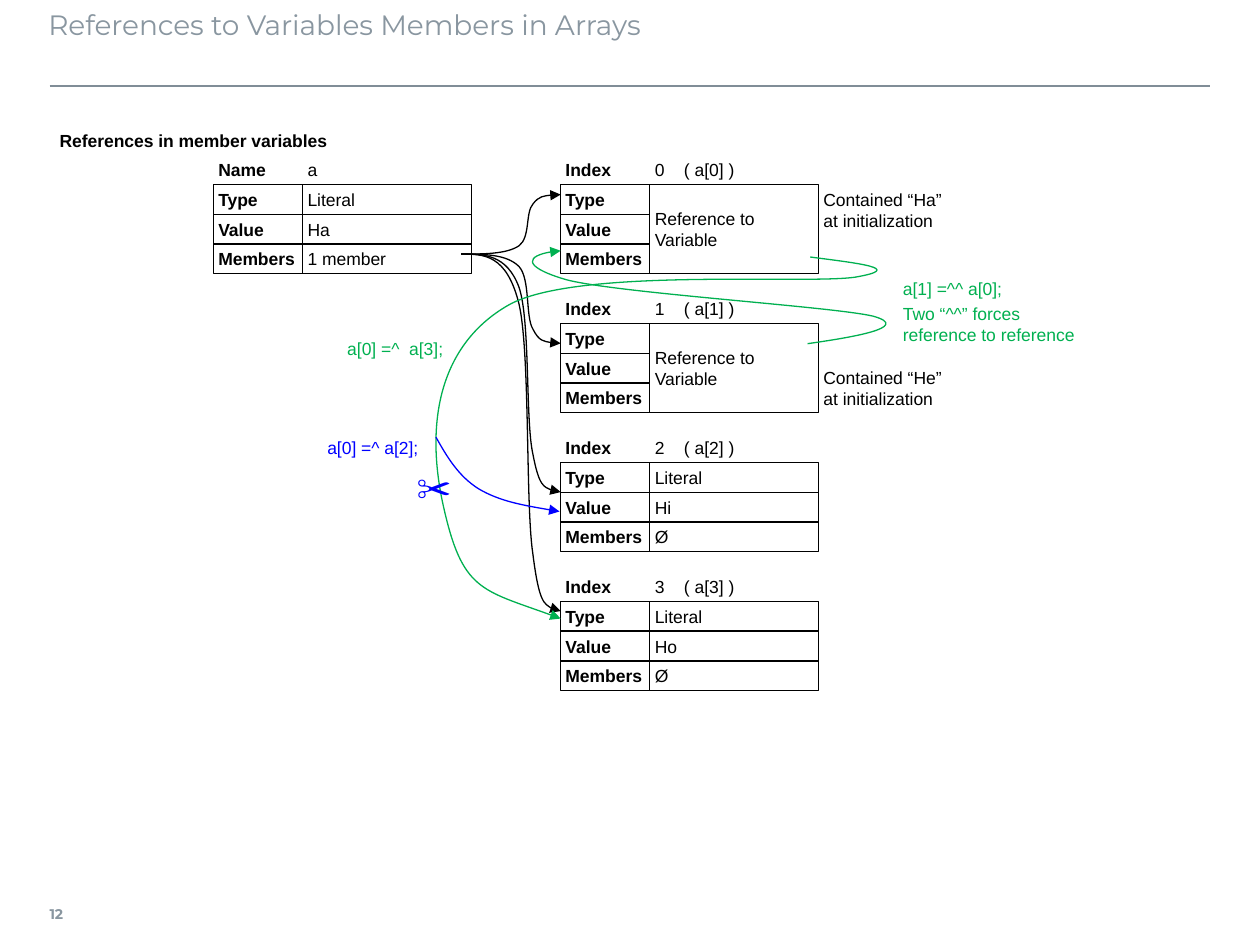
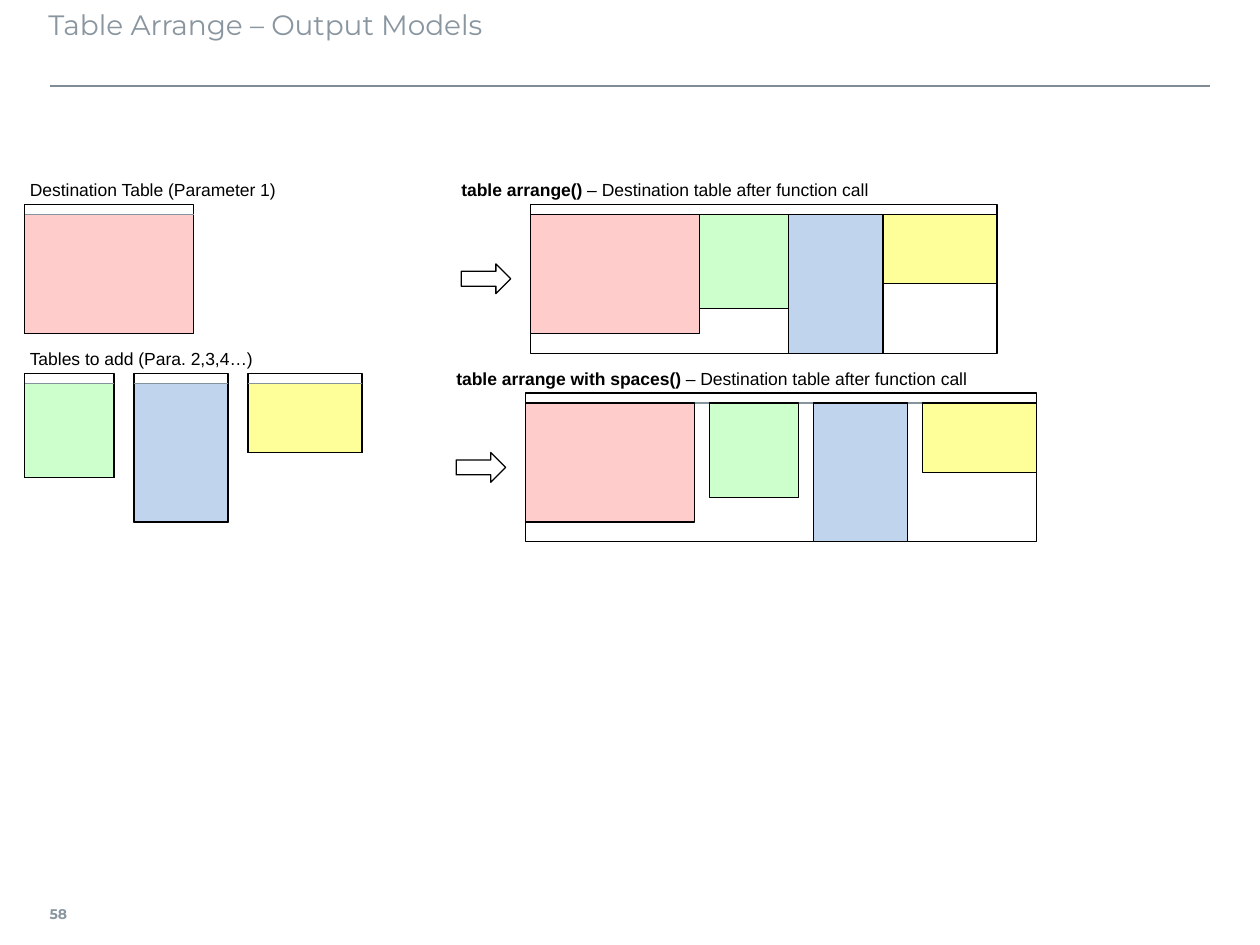
from lxml import etree
from pptx import Presentation
from pptx.dml.color import RGBColor
from pptx.enum import shapes, text
from pptx.oxml.ns import qn
from pptx.util import Pt

BLACK, GREEN, BLUE = "000000", "00B050", "0000FF"
TITLE_GREY, RULE_GREY, HEADER_GREY = "8996A0", "808D97", "85939D"
INSET = 2.83

# Memory records
ROW, KEY_W, VALUE_W = 17, 51, 96.4
INDEX_TAB = 16.7
RECORD_PITCH = 79.4

# Tables to arrange: width, body height, fill
HEADER_H = 5.67
DESTINATION = (96.4, 68, "FFCCCC")
ADDED = [(51, 53.9, "CCFFCC"), (53.9, 79.4, "C1D4EE"), (65.2, 39.7, "FFFF99")]


def color(hex_code):
    return RGBColor.from_string(hex_code)


def outline(sp, hex_code=BLACK, width=0.75):
    sp.line.color.rgb = color(hex_code)
    sp.line.width = Pt(width)


def write(sp, words, hex_code=BLACK, size=10, bold=False, font="Arial",
          insets=(INSET,) * 4, wrap=False, anchor=text.MSO_ANCHOR.MIDDLE, tab=None):
    """Fill a shape with left-aligned text, one paragraph for each line."""
    tf = sp.text_frame
    tf.word_wrap = wrap
    tf.vertical_anchor = anchor
    tf.margin_left, tf.margin_top, tf.margin_right, tf.margin_bottom = map(Pt, insets)
    tf.text = words
    for p in tf.paragraphs:
        p.alignment = text.PP_ALIGN.LEFT
        if tab:
            tabs = etree.SubElement(p._p.get_or_add_pPr(), qn("a:tabLst"))
            etree.SubElement(tabs, qn("a:tab"), pos=str(Pt(tab)), algn="l")
        p.font.name, p.font.size, p.font.bold = font, Pt(size), bold
        p.font.color.rgb = color(hex_code)
    return tf


def label(s, x, y, w, h, words, *style, **options):
    return write(s.shapes.add_textbox(Pt(x), Pt(y), Pt(w), Pt(h)), words, *style, **options)


def box(s, x, y, w, h, fill=None, kind=shapes.MSO_SHAPE.RECTANGLE):
    sp = s.shapes.add_shape(kind, Pt(x), Pt(y), Pt(w), Pt(h))
    sp.shadow.inherit = False
    if fill:
        sp.fill.solid()
        sp.fill.fore_color.rgb = color(fill)
    else:
        sp.fill.background()
    outline(sp)
    return sp


def rule(s, x, y, w, hex_code, width=0.75):
    line = s.shapes.add_connector(shapes.MSO_CONNECTOR.STRAIGHT, Pt(x), Pt(y), Pt(x + w), Pt(y))
    outline(line, hex_code, width)
    etree.SubElement(line._element.spPr, qn("a:effectLst"))


def curved_arrow(s, points, hex_code=BLACK):
    """Draw cubic curves: a start, then two controls and an end for each curve."""
    start, *rest = [(Pt(x), Pt(y)) for x, y in points]
    builder = s.shapes.build_freeform(*start)
    builder.add_line_segments(rest, close=False)
    sp = builder.convert_to_shape()
    sp.shadow.inherit = False
    sp.fill.background()
    outline(sp, hex_code)
    spPr = sp._element.spPr
    etree.SubElement(spPr.find(qn("a:ln")), qn("a:tailEnd"), type="triangle")
    track = spPr.find(".//" + qn("a:path"))
    segments = track.findall(qn("a:lnTo"))
    for i in range(0, len(segments), 3):
        curve = etree.SubElement(track, qn("a:cubicBezTo"))
        for segment in segments[i:i + 3]:
            curve.append(segment[0])
            track.remove(segment)


def new_slide(prs, title, number):
    s = prs.slides.add_slide(prs.slide_layouts[6])
    rule(s, 28.3, 48.96, 663.4, RULE_GREY, 1)
    label(s, 28.3, 508.3, 25.2, 28.1, number, TITLE_GREY, 8, True, "Montserrat",
          insets=(0, 3.6, 5.7, 3.6))
    label(s, 27.6, 0.7, 663, 45.4, title, TITLE_GREY, 16, font="Montserrat",
          insets=(0, 3.6, 7.2, 3.6), wrap=True, anchor=text.MSO_ANCHOR.TOP)
    return s


def record(s, x, y, key, name, values):
    """Draw a heading row and three fields; a single value spans all fields."""
    value_x = x + KEY_W
    label(s, x, y, KEY_W, ROW, key, bold=True)
    label(s, value_x, y, VALUE_W, ROW, name, tab=INDEX_TAB)
    fields = ("Type", "Value", "Members")
    for i, field in enumerate(fields, 1):
        write(box(s, x, y + i * ROW, KEY_W, ROW), field, bold=True)
    value_h = ROW * len(fields) / len(values)
    for i, value in enumerate(values):
        write(box(s, value_x, y + ROW + i * value_h, VALUE_W, value_h), value)


def member_arrow(s, x, y, drop):
    across = (0, 13, 26, 33.1, 39.6, 36.7, 41, 44.6, 51.1, 56.9)
    down = (0, 0, 0, 0.14, 0.28, 0.7, 0.84, 0.98, 1, 1)
    curved_arrow(s, [(x + dx, y + drop * share) for dx, share in zip(across, down)])


def references_slide(prs):
    s = new_slide(prs, "References to Variables Members in Arrays", "12")
    top, array_x = 88.5, 320.3
    label(s, 31.2, 71.6, 200, ROW, "References in member variables", bold=True)
    record(s, 121.9, top, "Name", "a", ["Literal", "Ha", "1 member"])
    reference = ["Reference to\nVariable"]
    elements = [reference, reference, ["Literal", "Hi", "Ø"], ["Literal", "Ho", "Ø"]]
    for i, values in enumerate(elements):
        record(s, array_x, top + i * RECORD_PITCH, "Index", f"{i}\t( a[{i}] )", values)
    for rows in (-2, 3, 8, 12):
        member_arrow(s, 263.5, 145.2, rows * ROW)

    curved_arrow(s, [
        (463, 146.9), (490.3, 150.5), (517.7, 153.4), (488.9, 158.4),
        (460.8, 162.7), (329.8, 152.6), (290.9, 174.2),
        (251.3, 196.6), (242.6, 241.2), (253.4, 289.4),
        (264.2, 337.7), (275.8, 337), (320.4, 353.5)], GREEN)
    curved_arrow(s, [
        (461.5, 196.4), (485.3, 193), (522, 187.2), (499, 180.7),
        (475.2, 175), (344.2, 167), (321.1, 159.1),
        (298.1, 151.9), (301.7, 144.7), (320.4, 143.3)], GREEN)
    curved_arrow(s, [
        (249.1, 249.8), (255.6, 261.4), (262.1, 272.2), (273.6, 279.4),
        (285.8, 286.6), (302.4, 289.4), (319.7, 292.3)], BLUE)

    for y, content in ((105.8, "Ha"), (207.6, "He")):
        label(s, 467.7, y, 79.4, 28.3, f"Contained “{content}”\nat initialization")
    label(s, 235.3, 270, 28.3, ROW, "✂", BLUE, 20)
    label(s, 184.2, 247.4, 79.4, ROW, "a[0] =^ a[2];", BLUE)
    label(s, 195.6, 190.7, 79.4, ROW, "a[0] =^  a[3];", GREEN)
    label(s, 513.1, 156.6, 68, ROW, "a[1] =^^ a[0];", GREEN)
    label(s, 513.1, 173.9, 107.7, 22.7, "Two “^^” forces\nreference to reference", GREEN)


def caption(s, x, y, words, **options):
    return label(s, x, y - 14.1, 320, 11.3, words, **options)


def small_table(s, x, y, w, h, fill):
    box(s, x, y, w, HEADER_H + h)
    box(s, x, y + HEADER_H, w, h, fill)
    rule(s, x, y + HEADER_H, w, HEADER_GREY)


def arranged_table(s, x, y, function, gap):
    """Draw the arrow, caption and joined table that a function call gives."""
    tables = [DESTINATION] + ADDED
    width = sum(w for w, _, _ in tables) + gap * (len(tables) - 1)
    height = HEADER_H + max(h for _, h, _ in tables)
    box(s, x - 39.7, y + 34, 28.3, ROW, kind=shapes.MSO_SHAPE.RIGHT_ARROW)
    box(s, x, y, width, height)
    rule(s, x, y + HEADER_H, 232.6, HEADER_GREY)
    tf = caption(s, x - 42.5, y, function, bold=True)
    r = tf.paragraphs[0].add_run()
    r.text = " – Destination table after function call"
    r.font.bold = False
    for w, h, fill in tables:
        box(s, x, y + HEADER_H, w, h, fill)
        x += w + gap


def arrange_slide(prs):
    s = new_slide(prs, "Table Arrange – Output Models", "58")
    left, top, added_y = 14.2, 116.8, 213.3
    caption(s, left, top, "Destination Table (Parameter 1)")
    small_table(s, left, top, *DESTINATION)
    caption(s, left, added_y, "Tables to add (Para. 2,3,4…)")
    x = left
    for w, h, fill in ADDED:
        small_table(s, x, added_y, w, h, fill)
        x += w + 11.3
    arranged_table(s, 303.3, top, "table arrange()", 0)
    arranged_table(s, 300.4, 224.6, "table arrange with spaces()", 8.5)


def main():
    prs = Presentation()
    prs.slide_width, prs.slide_height = Pt(720), Pt(540)
    references_slide(prs)
    arrange_slide(prs)
    prs.save("out.pptx")


if __name__ == "__main__":
    main()
